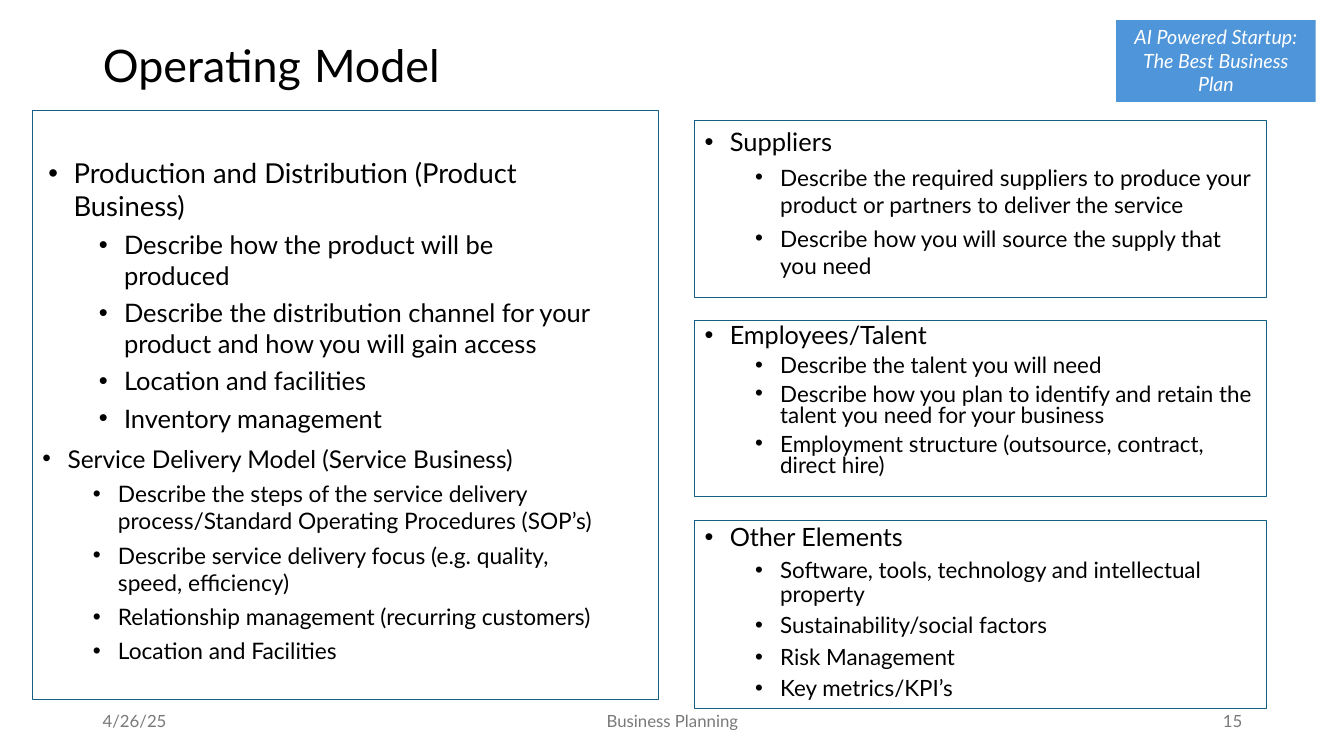
from lxml import etree
from pptx import Presentation
from pptx.dml.color import RGBColor
from pptx.enum.shapes import MSO_SHAPE
from pptx.enum.text import MSO_ANCHOR, MSO_AUTO_SIZE, PP_ALIGN
from pptx.oxml.ns import qn
from pptx.util import Inches, Pt

RECTANGLE = MSO_SHAPE.RECTANGLE
TOP, MIDDLE = MSO_ANCHOR.TOP, MSO_ANCHOR.MIDDLE
LEFT, CENTER, RIGHT = PP_ALIGN.LEFT, PP_ALIGN.CENTER, PP_ALIGN.RIGHT
NO_FIT = MSO_AUTO_SIZE.NONE

FONT = "Lato"
COLORS = {"text": "000000", "tag": "4E95D9", "tag_text": "FFFFFF",
          "outline": "156082", "footer": "797979"}
TWO_CONTENT = 3
LIST_WIDTH = 5.67
RIGHT_EDGE = 6.89

PRODUCTION = ["Production and Distribution (Product Business)",
              "Describe how the product will be produced",
              "Describe the distribution channel for your product and how you will gain access",
              "Location and facilities",
              "Inventory management"]
SERVICE = ["Service Delivery Model (Service Business)",
           "Describe the steps of the service delivery process/Standard Operating Procedures (SOP’s)",
           "Describe service delivery focus (e.g. quality, speed, efficiency)",
           "Relationship management (recurring customers)",
           "Location and Facilities"]
SUPPLIERS = ["Suppliers",
             "Describe the required suppliers to produce your product or partners to deliver the service",
             "Describe how you will source the supply that you need"]
TALENT = ["Employees/Talent",
          "Describe the talent you will need",
          "Describe how you plan to identify and retain the talent you need for your business",
          "Employment structure (outsource, contract, direct hire)"]
OTHER = ["Other Elements",
         "Software, tools, technology and intellectual property",
         "Sustainability/social factors",
         "Risk Management",
         "Key metrics/KPI’s"]


def color(name):
    return RGBColor.from_string(COLORS[name])


def place(box, left, top, width, height):
    box.left, box.top = Inches(left), Inches(top)
    box.width, box.height = Inches(width), Inches(height)


def set_frame(box, anchor):
    frame = box.text_frame
    frame.word_wrap = True
    frame.auto_size = NO_FIT
    frame.vertical_anchor = anchor
    frame.margin_left = frame.margin_right = Inches(0.1)
    frame.margin_top = frame.margin_bottom = Inches(0.05)
    return frame


def next_para(frame, index):
    return frame.add_paragraph() if index else frame.paragraphs[0]


def add_span(para, text, size, color_name="text", italic=False):
    span = para.add_run()
    span.text = text
    span.font.name = FONT
    span.font.size = Pt(size)
    span.font.italic = italic
    span.font.color.rgb = color(color_name)


def set_bullet(para, indent):
    props = para._p.get_or_add_pPr()
    props.set("marL", str(Inches(indent)))
    props.set("indent", str(Inches(-0.25)))
    etree.SubElement(props, qn("a:buFont")).set("typeface", "Arial")
    etree.SubElement(props, qn("a:buChar")).set("char", "•")


def fill_list(box, lines, head_size, item_size, spacing=1.0):
    """Write the first line as the heading bullet and the rest as its items."""
    frame = set_frame(box, TOP)
    for index, line in enumerate(lines):
        para = next_para(frame, index)
        para.level = 1 if index else 0
        para.alignment = LEFT
        para.line_spacing = spacing
        para.space_before = Pt(5 if index else 10)
        para.space_after = Pt(0)
        set_bullet(para, 0.75 if index else 0.25)
        add_span(para, line, item_size if index else head_size)


def add_rectangle(page, left, top, width, height, fill=None, outline=None):
    box = page.shapes.add_shape(RECTANGLE, Inches(left), Inches(top),
                                Inches(width), Inches(height))
    box.shadow.inherit = False
    if fill:
        box.fill.solid()
        box.fill.fore_color.rgb = color(fill)
    else:
        box.fill.background()
    if outline:
        box.line.color.rgb = color(outline)
        box.line.width = Pt(0.75)
    else:
        box.line.fill.background()
    return box


def add_tag(page, lines):
    box = add_rectangle(page, 11.07, 0.2, 1.98, 0.81, fill="tag")
    frame = set_frame(box, TOP)
    for index, line in enumerate(lines):
        para = next_para(frame, index)
        para.alignment = CENTER
        add_span(para, line, 14, "tag_text", italic=True)


def set_title(page):
    title = page.shapes.title
    place(title, 0.92, 0.22, 11.5, 0.88)
    para = set_frame(title, MIDDLE).paragraphs[0]
    para.alignment = LEFT
    para.line_spacing = 0.9
    for text, size in (("Operating", 32), (" ", 36), ("Model", 32)):
        add_span(para, text, size)


def add_footer(page, text, left, width, alignment):
    box = page.shapes.add_textbox(Inches(left), Inches(6.95), Inches(width), Inches(0.4))
    para = set_frame(box, MIDDLE).paragraphs[0]
    para.alignment = alignment
    add_span(para, text, 12, "footer")


def main():
    deck = Presentation()
    deck.slide_width, deck.slide_height = Inches(13.33), Inches(7.5)
    page = deck.slides.add_slide(deck.slide_layouts[TWO_CONTENT])

    # Heading and corner tag
    add_tag(page, ["AI Powered Startup:", "The Best Business Plan"])
    set_title(page)

    # Left panel with its two lists
    add_rectangle(page, 0.32, 1.1, 6.21, 5.84, outline="outline")
    production, service = page.placeholders[1], page.placeholders[2]
    place(production, 0.38, 1.5, LIST_WIDTH, 2.6)
    fill_list(production, PRODUCTION, 19.6, 18.2)
    place(service, 0.32, 4.35, LIST_WIDTH, 2.6)
    fill_list(service, SERVICE, 17.5, 16.2)

    # Right column of outlined lists
    for lines, top, height, head_size, item_size, spacing in (
            (SUPPLIERS, 1.2, 1.75, 18.2, 16.1, 1.0),
            (TALENT, 3.18, 1.75, 18, 16, 0.8),
            (OTHER, 5.16, 1.87, 18, 16, 0.9)):
        panel = add_rectangle(page, RIGHT_EDGE, top, LIST_WIDTH, height, outline="outline")
        fill_list(panel, lines, head_size, item_size, spacing)

    # Footer
    add_footer(page, "4/26/25", 0.92, 3, LEFT)
    add_footer(page, "Business Planning", 4.42, 4.5, CENTER)
    add_footer(page, "15", 9.42, 3, RIGHT)

    deck.save("out.pptx")


if __name__ == "__main__":
    main()
